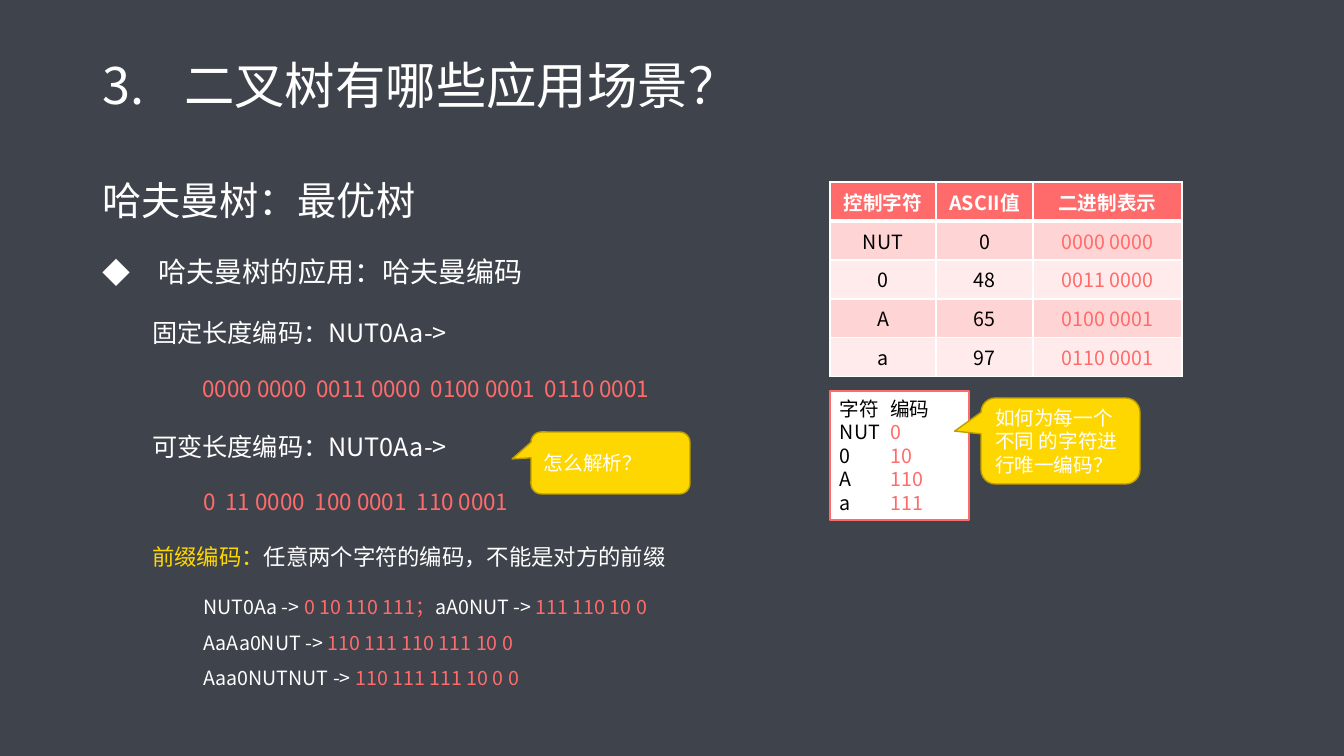
from copy import deepcopy
from lxml.etree import SubElement
from pptx import Presentation
from pptx.dml.color import RGBColor
from pptx.enum.shapes import MSO_SHAPE as SHAPE
from pptx.enum.text import MSO_ANCHOR as ANCHOR, MSO_AUTO_SIZE as FIT, PP_ALIGN as ALIGN
from pptx.oxml.ns import qn
from pptx.util import Pt

PX = 914400 / 100.8
FONT = "Noto Sans CJK SC"
WHITE, BLACK, CORAL, GOLD = "FFFFFF", "000000", "FF6B6B", "FFD700"


def paint(color_owner, value):
    if hasattr(color_owner, "solid"):
        color_owner.solid()
        color_owner = color_owner.fore_color
    else:
        color_owner = color_owner.color
    color_owner.rgb = RGBColor.from_string(value)


def write(paragraph, pieces, size, bold=False, **layout):
    for name, value in layout.items():
        setattr(paragraph, name, value)
    for text, color in pieces:
        run = paragraph.add_run()
        run.text = text.rstrip("\n")
        for name, value in {"size": Pt(size), "name": FONT, "bold": bold}.items():
            setattr(run.font, name, value)
        paint(run.font, color)
        SubElement(run.font._element, qn("a:ea"), typeface=FONT)
        if text.endswith("\n"):
            paragraph.add_line_break()
            paragraph._p[-1].insert(0, deepcopy(run.font._element))


deck = Presentation()
deck.slide_width, deck.slide_height = round(1344 * PX), round(756 * PX)
slide = deck.slides.add_slide(deck.slide_layouts[1])
paint(slide.background.fill, "3F434C")

heading, body = slide.placeholders
for holder, box, anchor in [
    (heading, (92, 29, 1159, 119), ANCHOR.MIDDLE),
    (body, (92, 148, 1159, 567), ANCHOR.TOP),
]:
    holder.left, holder.top, holder.width, holder.height = [round(v * PX) for v in box]
    holder.text_frame.vertical_anchor = anchor
    holder.text_frame.auto_size = FIT.NONE
    holder.text_frame.word_wrap = True

question = heading.text_frame.paragraphs[0]
write(question, [("二叉树有哪些应用场景？", WHITE)], 36, alignment=ALIGN.LEFT, line_spacing=0.9)
numbering = question._p.get_or_add_pPr()
numbering.set("marL", str(round(82 * PX)))
numbering.set("indent", str(round(-82 * PX)))
SubElement(numbering, qn("a:buFont"), typeface=FONT)
SubElement(numbering, qn("a:buAutoNum"), type="arabicPeriod", startAt="3")

outline = [
    (0, 0, 28, [("哈夫曼树：最优树", WHITE)]),
    (1, 56, 20, [("哈夫曼树的应用：哈夫曼编码", WHITE)]),
    (2, 50, 18, [("固定长度编码：NUT0Aa->", WHITE)]),
    (2, 50, 16, [("\t0000 0000  0011 0000  0100 0001  0110 0001", CORAL)]),
    (2, 50, 18, [("可变长度编码：NUT0Aa->", WHITE)]),
    (3, 101, 16, [("0  11 0000  100 0001  110 0001", CORAL)]),
    (2, 50, 16, [("前缀编码：", GOLD), ("任意两个字符的编码，不能是对方的前缀", WHITE)]),
    (3, 101, 14, [
        ("NUT0Aa -> ", WHITE), ("0 10 110 111；", CORAL),
        ("aA0NUT -> ", WHITE), ("111 110 10 0\n", CORAL),
        ("AaAa0NUT -> ", WHITE), ("110 111 110 111 10 0\n", CORAL),
        ("Aaa0NUTNUT -> ", WHITE), ("110 111 111 10 0 0", CORAL),
    ]),
]
for index, (level, margin, size, pieces) in enumerate(outline):
    item = body.text_frame.add_paragraph() if index else body.text_frame.paragraphs[0]
    write(item, pieces, size, level=level, line_spacing=1.5, space_before=Pt(10), space_after=Pt(0))
    bullet = item._p.get_or_add_pPr()
    bullet.set("marL", str(round(margin * PX)))
    bullet.set("indent", str(round(-margin * PX) if level == 1 else 0))
    if level == 1:
        SubElement(bullet, qn("a:buFont"), typeface=FONT)
        SubElement(bullet, qn("a:buChar"), char="◆")
    else:
        SubElement(bullet, qn("a:buNone"))

ascii_codes = [
    ("控制字符", "ASCII值", "二进制表示"),
    ("NUT", "0", "0000 0000"),
    ("0", "48", "0011 0000"),
    ("A", "65", "0100 0001"),
    ("a", "97", "0110 0001"),
]
ascii_table = slide.shapes.add_table(
    5, 3, *[round(v * PX) for v in (830, 182, 352, 195)]).table
for column, width in zip(ascii_table.columns, (106, 97, 149)):
    column.width = round(width * PX)
for r, values in enumerate(ascii_codes):
    ascii_table.rows[r].height = round(39 * PX)
    for c, value in enumerate(values):
        cell = ascii_table.cell(r, c)
        color = WHITE if r == 0 else CORAL if c == 2 else BLACK
        write(cell.text_frame.paragraphs[0], [(value, color)], 14, r == 0, alignment=ALIGN.CENTER)
        cell.vertical_anchor = ANCHOR.MIDDLE
        borders = cell._tc.get_or_add_tcPr()
        for side in ("lnL", "lnR", "lnT", "lnB"):
            thick = (r, side) in ((0, "lnB"), (1, "lnT"))
            edge = SubElement(borders, qn(f"a:{side}"), w=str(Pt(3 if thick else 1)))
            SubElement(SubElement(edge, qn("a:solidFill")), qn("a:srgbClr"), val=WHITE)
        paint(cell.fill, CORAL if r == 0 else "FFD4D4" if r % 2 else "FFEBEB")

prefix_codes = [
    [("字符\t编码", BLACK)],
    *[[(f"{symbol}\t", BLACK), (code, CORAL)]
      for symbol, code in [("NUT", "0"), ("0", "10"), ("A", "110"), ("a", "111")]],
]
panels = [
    (SHAPE.ROUNDED_RECTANGULAR_CALLOUT, (531, 432, 159, 62), (-0.619, -0.065, 0.167),
     GOLD, "BD9F00", [[("怎么解析？", WHITE)]]),
    (SHAPE.RECTANGLE, (830, 391, 139, 129), (), WHITE, CORAL, prefix_codes),
    (SHAPE.ROUNDED_RECTANGULAR_CALLOUT, (981, 398, 159, 86), (-0.666, -0.115, 0.167),
     GOLD, "BD9F00", [[("如何为每一个不同 的字符进行唯一编码？", WHITE)]]),
]
for kind, box, adjustments, fill, edge, lines in panels:
    panel = slide.shapes.add_shape(kind, *[round(v * PX) for v in box])
    panel.shadow.inherit = False
    for index, value in enumerate(adjustments):
        panel.adjustments[index] = value
    paint(panel.fill, fill)
    paint(panel.line, edge)
    panel.line.width = Pt(1)
    frame = panel.text_frame
    frame.word_wrap = True
    frame.vertical_anchor = ANCHOR.MIDDLE
    for index, pieces in enumerate(lines):
        line = frame.add_paragraph() if index else frame.paragraphs[0]
        write(line, pieces, 14, alignment=ALIGN.LEFT)

deck.save("out.pptx")
